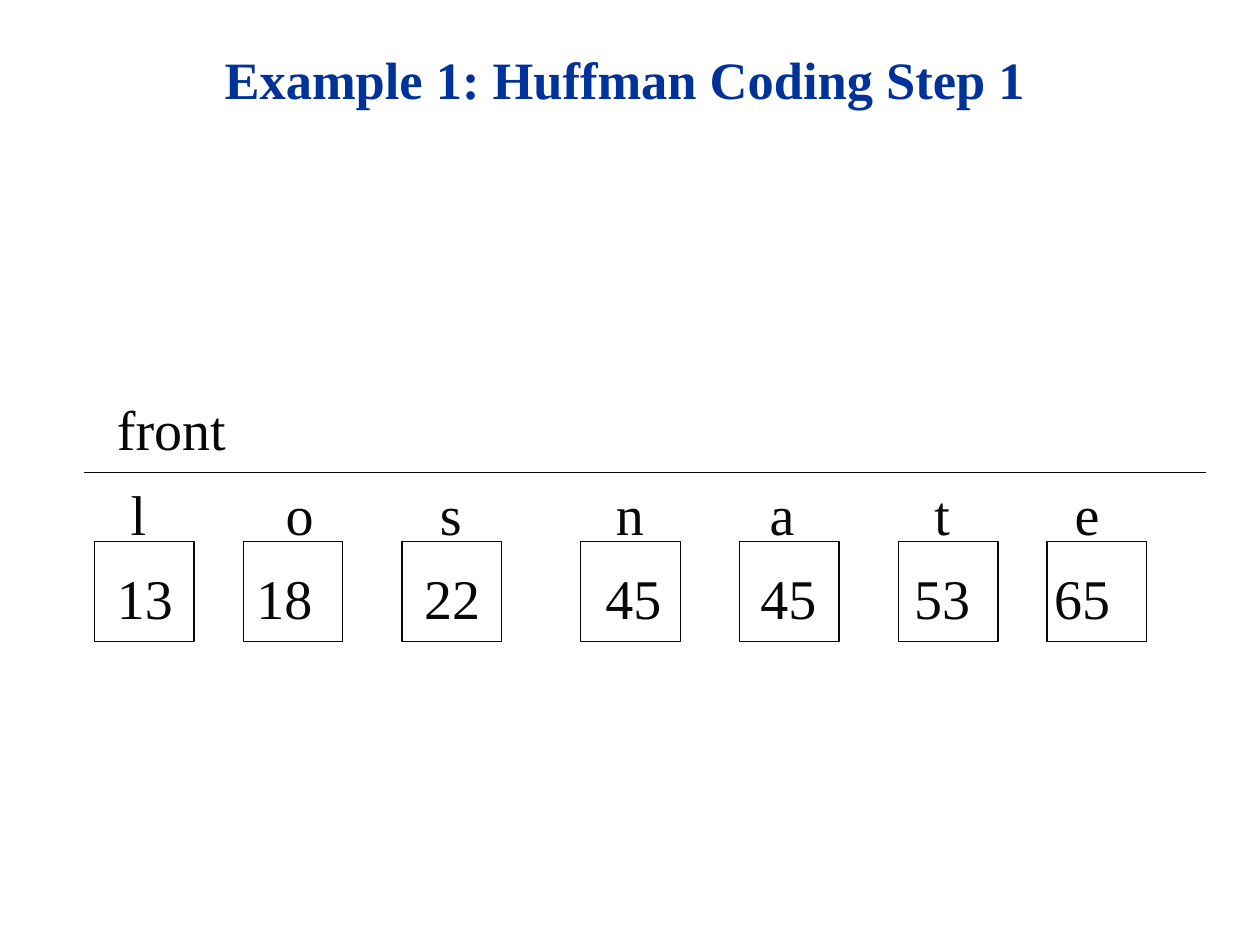
from lxml.etree import SubElement
from pptx import Presentation
from pptx.dml.color import RGBColor
from pptx.enum.shapes import MSO_CONNECTOR as CONN, MSO_SHAPE as SHAPE
from pptx.enum.text import MSO_ANCHOR as ANCHOR, PP_ALIGN as ALIGN
from pptx.oxml.ns import qn
from pptx.util import Inches, Pt

TITLE = "Example 1: Huffman Coding Step 1"
LABEL = "front"
# letter, its centre, frequency, its centre, left edge of the box
QUEUE = [
    ("l", 1.10, "13", 1.15, 0.75),
    ("o", 2.38, "18", 2.26, 1.93),
    ("s", 3.58, "22", 3.59, 3.19),
    ("n", 5.00, "45", 5.03, 4.61),
    ("a", 6.21, "45", 6.26, 5.87),
    ("t", 7.48, "53", 7.48, 7.13),
    ("e", 8.63, "65", 8.59, 8.31),
]
INK, BLUE = "080808", "003399"
BOX_TOP, BOX_SIZE = 4.3, 0.79
TEXT_LEFT, INSET = 0.83, 0.1
TITLE_FONT = {"name": "Times New Roman", "size": Pt(30), "bold": True}
BODY_FONT = {"name": "Times New Roman", "size": Pt(32), "bold": False}


def color(value):
    return RGBColor.from_string(value)


def add_frame(left, top, width, height, anchor):
    box = slide.shapes.add_textbox(*map(Inches, (left, top, width, height)))
    tf = box.text_frame
    tf.word_wrap = True
    tf.vertical_anchor = anchor
    return tf


def write(p, text, font, rgb):
    r = p.add_run()
    r.text = text
    for name, value in font.items():
        setattr(r.font, name, value)
    r.font.color.rgb = color(rgb)


def set_center_tabs(p, centers):
    tabs = SubElement(p._p.get_or_add_pPr(), qn("a:tabLst"))
    for x in centers:
        pos = Inches(x - TEXT_LEFT - INSET)
        SubElement(tabs, qn("a:tab"), pos=str(pos), algn="ctr")


def style_line(line):
    line.color.rgb = color(INK)
    line.width = Pt(0.75)


prs = Presentation()
prs.slide_width, prs.slide_height = Inches(10), Inches(7.5)
slide = prs.slides.add_slide(prs.slide_layouts[6])

# Title
p = add_frame(0.7, 0, 8.52, 0.92, ANCHOR.BOTTOM).paragraphs[0]
p.alignment = ALIGN.CENTER
write(p, TITLE, TITLE_FONT, BLUE)

# Label, then letters and frequencies on centred tab stops
tf = add_frame(TEXT_LEFT, 3.08, 8.5, 3.52, ANCHOR.TOP)
write(tf.paragraphs[0], LABEL, BODY_FONT, INK)
letters, letter_xs, counts, count_xs, box_lefts = zip(*QUEUE)
for words, centers in ((letters, letter_xs), (counts, count_xs)):
    p = tf.add_paragraph()
    p.space_before = Pt(10)
    set_center_tabs(p, centers)
    write(p, "".join("\t" + word for word in words), BODY_FONT, INK)

# Queue line
rule = slide.shapes.add_connector(
    CONN.STRAIGHT, *map(Inches, (0.67, 3.75, 9.57, 3.75)))
style_line(rule.line)
SubElement(rule._element.spPr, qn("a:effectLst"))

# Frequency boxes
for left in box_lefts:
    sp = slide.shapes.add_shape(
        SHAPE.RECTANGLE, *map(Inches, (left, BOX_TOP, BOX_SIZE, BOX_SIZE)))
    sp.shadow.inherit = False
    sp.fill.background()
    style_line(sp.line)

prs.save("out.pptx")
